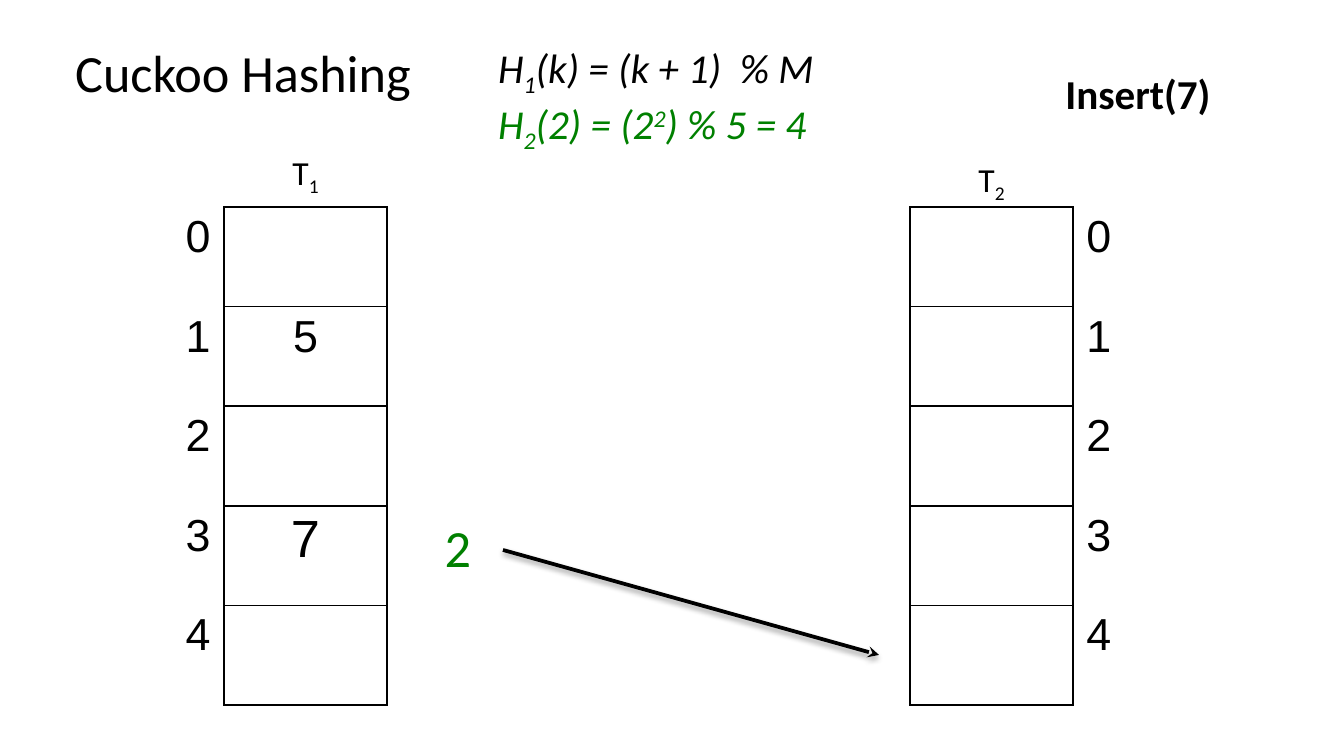
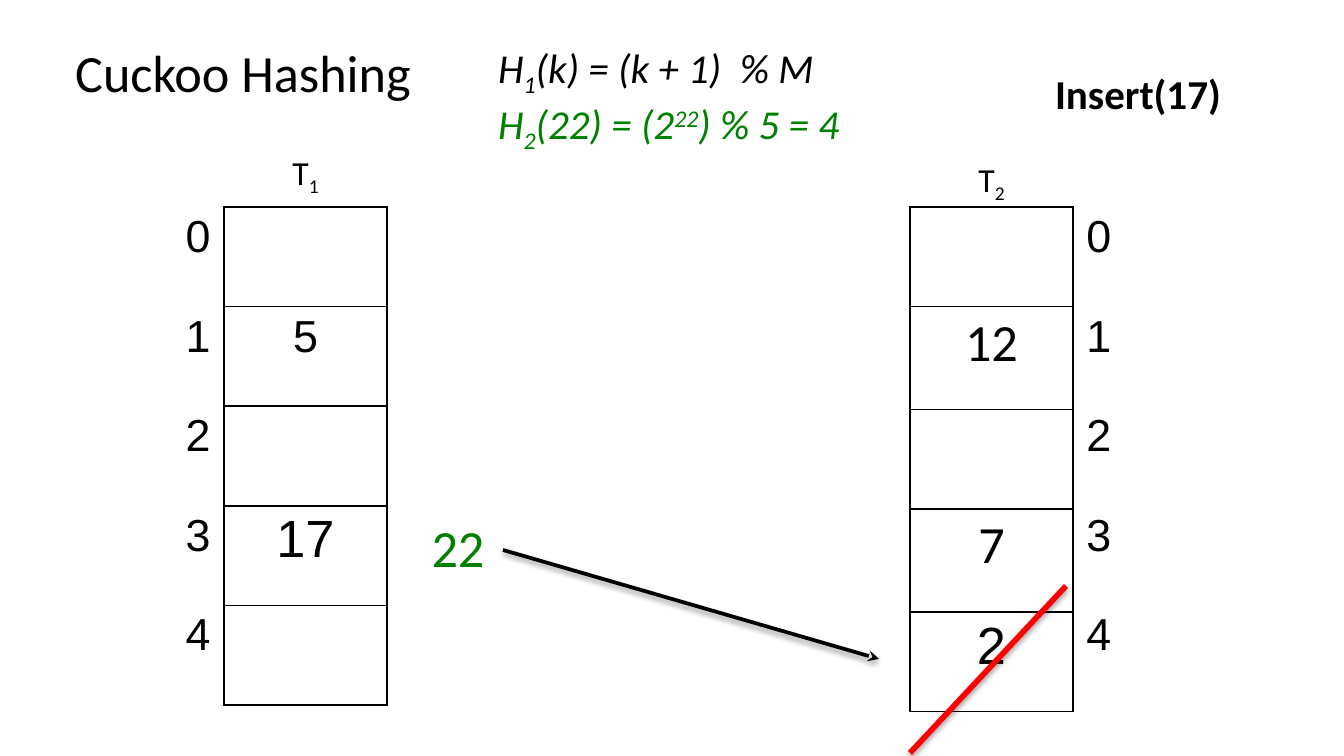
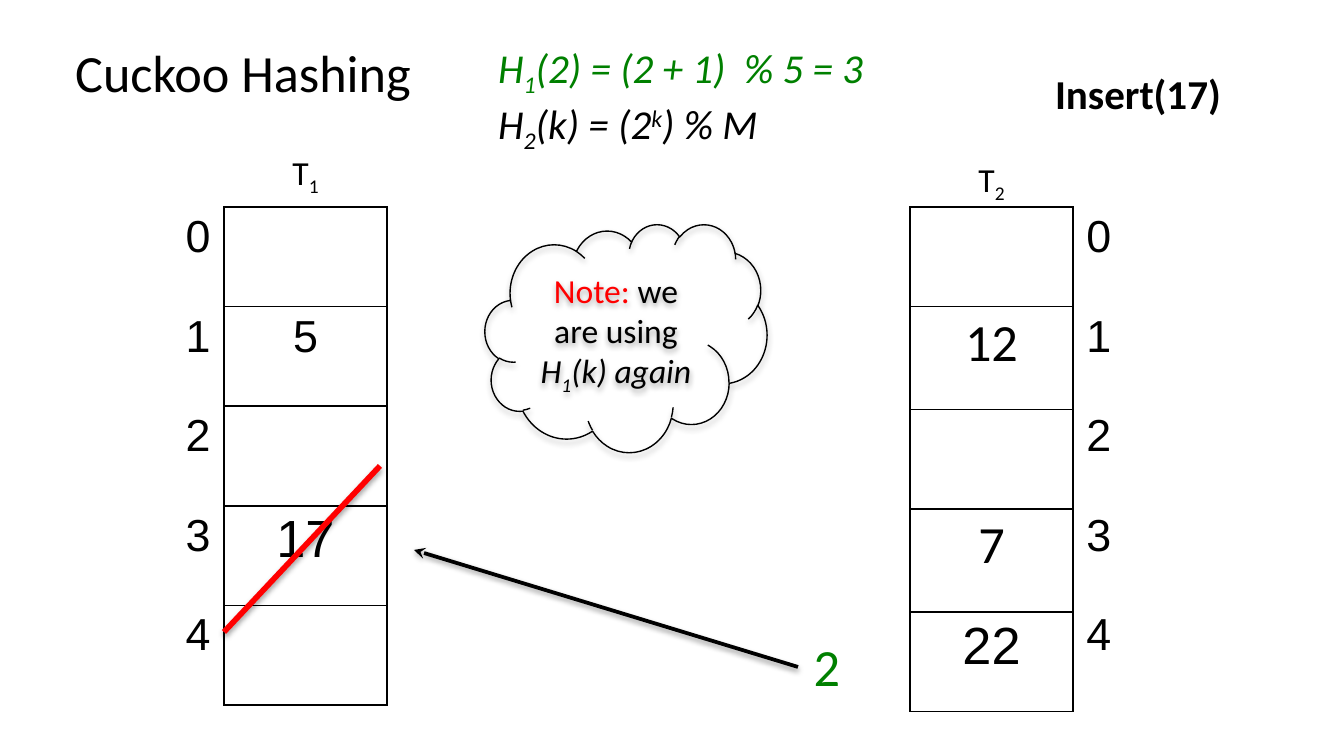
"""Build three slides that step through insertions in a cuckoo hash table."""
import lxml.etree
import pptx
import pptx.dml.color
import pptx.enum.shapes
import pptx.enum.text
import pptx.oxml
import pptx.oxml.ns
import pptx.util

SCALE = 914400 / 134.4
COLOURS = {"black": "000000", "green": "008000", "red": "FF0000"}
BODY_FONT, TABLE_FONT = "Calibri", "Arial"
SUB, SUPER = {"baseline": -25000}, {"baseline": 30000}
LEFT, CENTRE, RIGHT = (
    pptx.enum.text.PP_ALIGN.LEFT,
    pptx.enum.text.PP_ALIGN.CENTER,
    pptx.enum.text.PP_ALIGN.RIGHT,
)
SLOTS = 5
COLUMN_WIDTH, TABLE_TOP, TABLE_HEIGHT, TALL_ROW = 163, 207, 498, 103
FIRST_LEFT, SECOND_LEFT = 224, 910
FIRST_KEYS = {1: ("5", 24, TABLE_FONT)}
SECOND_KEYS = {1: ("12", 28, BODY_FONT), 3: ("7", 28, BODY_FONT)}


def px(length):
    """Turn a length in px into EMU."""
    return pptx.util.Emu(round(length * SCALE))


def rgb(name):
    """Look up a named colour."""
    return pptx.dml.color.RGBColor.from_string(COLOURS[name])


def add_child(parent, tag, **attributes):
    """Append a DrawingML element and return it."""
    return lxml.etree.SubElement(parent, pptx.oxml.ns.qn(tag), attributes)


def write(para, spans, size, font=BODY_FONT, colour="black", align=LEFT, bold=False, italic=False):
    """Fill a paragraph with (text, style) spans under one paragraph font."""
    para.alignment = align
    para.font.size = pptx.util.Pt(size)
    para.font.name = font
    para.font.bold = bold
    para.font.italic = italic
    para.font.color.rgb = rgb(colour)
    for text, style in spans:
        span = para.add_run()
        span.text = text
        if "baseline" in style:
            span.font._element.set("baseline", str(style["baseline"]))
        if "colour" in style:
            span.font.color.rgb = rgb(style["colour"])
        if "italic" in style:
            span.font.italic = style["italic"]


def add_text(page, left, top, width, height, spans, size, **style):
    """Add a wrapping text box with one paragraph."""
    box = page.shapes.add_textbox(px(left), px(top), px(width), px(height))
    box.text_frame.word_wrap = True
    write(box.text_frame.paragraphs[0], spans, size, **style)
    return box


def add_formulas(page, width, formulas):
    """Add the two hash functions, each a colour with its spans."""
    (colour, spans), second = formulas
    box = add_text(page, 485, 36, width, 113, spans, 22, colour=colour, italic=True)
    write(box.text_frame.add_paragraph(), second[1], 22, colour=second[0], italic=True)


def set_borders(cell, visible):
    """Give a cell thin black borders or none."""
    properties = cell._tc.get_or_add_tcPr()
    for index, side in enumerate(("a:lnL", "a:lnR", "a:lnT", "a:lnB")):
        border = add_child(properties, side, w="12700")
        if visible:
            add_child(add_child(border, "a:solidFill"), "a:srgbClr", val=COLOURS["black"])
        else:
            add_child(border, "a:noFill")
        properties.insert(index, border)


def add_column(page, left, entries, align=CENTRE, bordered=True):
    """Add a one-column table from a dict of row to (text, size, font)."""
    frame = page.shapes.add_table(
        SLOTS, 1, px(left), px(TABLE_TOP), px(COLUMN_WIDTH), px(TABLE_HEIGHT)
    )
    table = frame.table
    table.first_row = table.horz_banding = False
    for slot, row in enumerate(table.rows):
        cell = row.cells[0]
        cell.fill.background()
        cell.margin_top = cell.margin_bottom = px(5)
        set_borders(cell, bordered)
        row.height = px(TABLE_HEIGHT / SLOTS)
        if slot in entries:
            text, size, font = entries[slot]
            write(cell.text_frame.paragraphs[0], [(text, {})], size, font=font, align=align)
            if font == BODY_FONT:
                row.height = px(TALL_ROW)


def add_shadow(shape, distance, alpha):
    """Give a shape a soft shadow below it."""
    properties = shape._element.spPr
    effects = properties.find(pptx.oxml.ns.qn("a:effectLst"))
    if effects is None:
        effects = add_child(properties, "a:effectLst")
    shadow = add_child(
        effects, "a:outerShdw",
        blurRad="40000", dist=str(distance), dir="5400000", rotWithShape="0",
    )
    add_child(add_child(shadow, "a:srgbClr", val=COLOURS["black"]), "a:alpha", val=str(alpha))


def add_line(page, start, end, colour, width):
    """Add a straight shadowed line."""
    line = page.shapes.add_connector(
        pptx.enum.shapes.MSO_CONNECTOR.STRAIGHT, *map(px, start + end)
    )
    line.line.color.rgb = rgb(colour)
    line.line.width = pptx.util.Pt(width)
    add_shadow(line, 20000, 38000)
    return line


def add_arrow(page, start, end):
    """Add the arrow along which a key moves."""
    arrow = add_line(page, start, end, "black", 2)
    add_child(arrow.line._get_or_add_ln(), "a:tailEnd", type="stealth")


def add_strike(page, start, end):
    """Add a red line through an evicted key."""
    add_line(page, start, end, "red", 3)


def add_moving_key(page, left, top, key):
    """Add the green key that is between the tables."""
    add_text(page, left, top, 156, 77, [(key, {})], 28, colour="green", align=CENTRE)


def add_cloud(page, spans):
    """Add the cloud that holds the note."""
    cloud = page.shapes.add_shape(
        pptx.enum.shapes.MSO_SHAPE.CLOUD, px(485), px(224), px(282), px(228)
    )
    cloud.shadow.inherit = False
    cloud.fill.background()
    cloud.line.color.rgb = rgb("black")
    cloud.line.width = pptx.util.Pt(0.75)
    add_shadow(cloud, 23000, 35000)
    cloud.text_frame.word_wrap = True
    cloud.text_frame.vertical_anchor = pptx.enum.text.MSO_ANCHOR.MIDDLE
    write(cloud.text_frame.paragraphs[0], spans, 18, align=CENTRE)


def add_page(deck, inserted, formulas, formula_width, first, second):
    """Add a page with its title, formulas and both hash tables."""
    page = deck.slides.add_slide(deck.slide_layouts[6])
    add_formulas(page, formula_width, formulas)
    add_text(page, 62, 34, 364, 77, [("Cuckoo Hashing", {})], 28)
    labels = {slot: (str(slot), 24, TABLE_FONT) for slot in range(SLOTS)}
    add_column(page, FIRST_LEFT, first)
    add_column(page, FIRST_LEFT - COLUMN_WIDTH, labels, RIGHT, False)
    add_column(page, SECOND_LEFT, second)
    add_column(page, SECOND_LEFT + COLUMN_WIDTH, labels, LEFT, False)
    for left, top, number in ((FIRST_LEFT, 145, "1"), (SECOND_LEFT, 152, "2")):
        add_text(page, left, top, COLUMN_WIDTH, 54, [("T", {}), (number, SUB)], 18, align=CENTRE)
    add_text(page, 1028, 62, 220, 63, [(f"Insert({inserted})", {})], 22, bold=True, align=CENTRE)
    return page


def first_hash(colour, rest):
    """Return the line for the first hash function."""
    return colour, [("H", {}), ("1", SUB), (rest, {})]


def second_hash(colour, key, rest):
    """Return the line for the second hash function of a key."""
    return colour, [("H", {}), ("2", SUB), (f"({key}) = (2", {}), (key, SUPER), (rest, {})]


def main():
    """Build and save the deck."""
    deck = pptx.Presentation()
    deck.slide_width, deck.slide_height = px(1344), px(756)
    general_first = first_hash("black", "(k) = (k + 1)  % M")
    after_17 = {**FIRST_KEYS, 3: ("17", 28, TABLE_FONT)}

    formulas = general_first, second_hash("green", "2", ") % 5 = 4")
    page = add_page(deck, 7, formulas, 425, {**FIRST_KEYS, 3: ("7", 28, TABLE_FONT)}, {})
    add_moving_key(page, 380, 509, "2")
    add_arrow(page, (503, 550), (879, 655))

    formulas = general_first, second_hash("green", "22", ") % 5 = 4")
    page = add_page(deck, 17, formulas, 470, after_17, {**SECOND_KEYS, 4: ("2", 28, TABLE_FONT)})
    add_moving_key(page, 380, 509, "22")
    add_arrow(page, (503, 550), (879, 659))
    add_strike(page, (1066, 586), (910, 753))

    formulas = first_hash("green", "(2) = (2 + 1)  % 5 = 3"), second_hash("black", "k", ") % M")
    page = add_page(deck, 17, formulas, 470, after_17, {**SECOND_KEYS, 4: ("22", 28, TABLE_FONT)})
    add_moving_key(page, 749, 628, "2")
    add_arrow(page, (798, 667), (414, 550))
    slanted = {"italic": True}
    add_cloud(page, [
        ("Note: ", {"colour": "red"}), ("we are using ", {}),
        ("H", slanted), ("1", {**slanted, **SUB}), ("(k) again", slanted),
    ])
    add_strike(page, (380, 466), (224, 632))

    deck.save("out.pptx")


if __name__ == "__main__":
    main()
